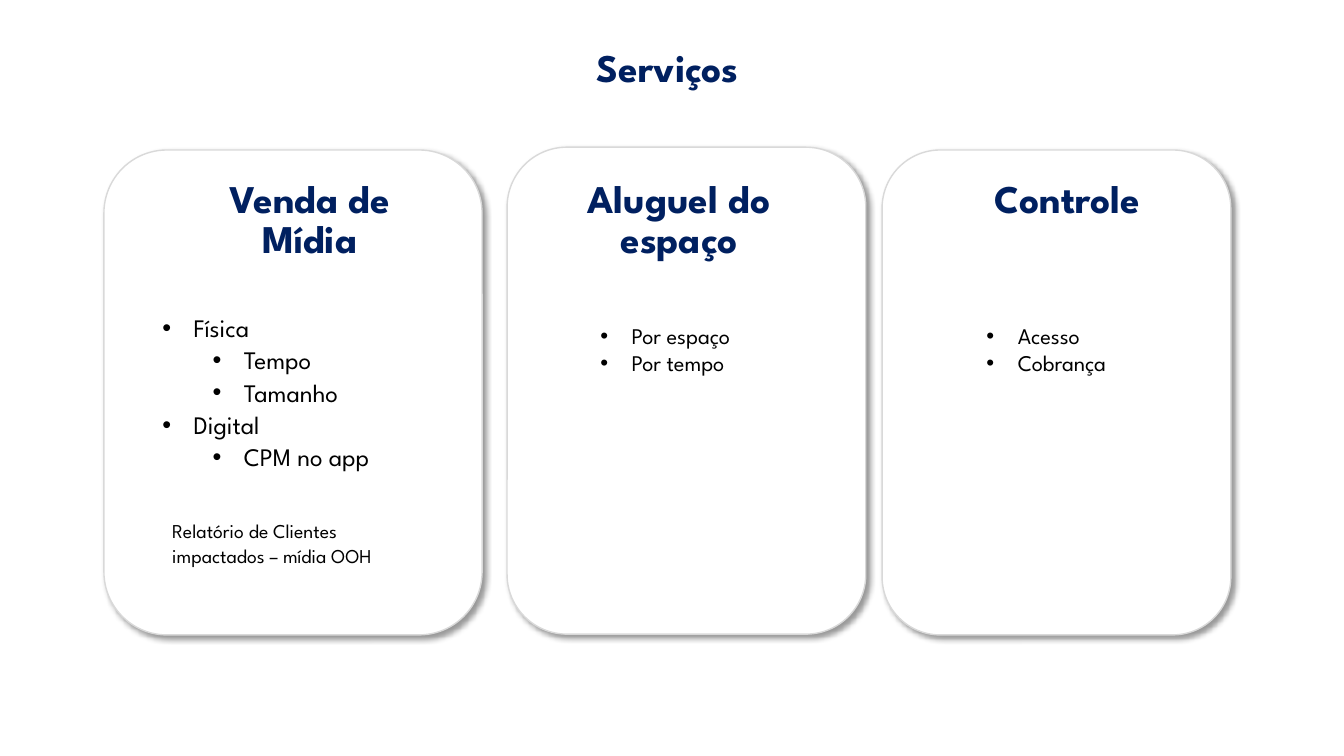
from pptx import Presentation
from pptx.dml.color import RGBColor
from pptx.enum.shapes import MSO_SHAPE
from pptx.enum.text import MSO_ANCHOR, PP_ALIGN
from pptx.oxml import parse_xml
from pptx.oxml.ns import nsdecls, qn
from pptx.util import Cm, Pt

COLORS = {"navy": "002060", "black": "000000", "white": "FFFFFF", "edge": "D9D9D9"}
FONT = "League Spartan"


def color(name):
    return RGBColor.from_string(COLORS[name])


def add_card(slide, left, top, width, height):
    card = slide.shapes.add_shape(
        MSO_SHAPE.ROUNDED_RECTANGLE, Cm(left), Cm(top), Cm(width), Cm(height))
    card.fill.solid()
    card.fill.fore_color.rgb = color("white")
    card.line.color.rgb = color("edge")
    card.line.width = Pt(1)
    card.shadow.inherit = False
    effects = card._element.spPr.find(qn("a:effectLst"))
    effects.append(parse_xml(
        f'<a:outerShdw {nsdecls("a")} blurRad="{Pt(4)}" dist="{Pt(3)}" '
        f'dir="2700000" algn="tl" rotWithShape="0">'
        f'<a:srgbClr val="{COLORS["black"]}"><a:alpha val="40000"/></a:srgbClr>'
        '</a:outerShdw>'))


def add_text(slide, box, text, size, tint="black", bold=False,
             align=PP_ALIGN.LEFT, space=None):
    frame = slide.shapes.add_textbox(*map(Cm, box)).text_frame
    frame.word_wrap = True
    frame.text = text
    for line in frame.paragraphs:
        line.alignment = align
        line.line_spacing = space
        for run in line.runs:
            run.font.name = FONT
            run.font.size = Pt(size)
            run.font.bold = bold
            run.font.color.rgb = color(tint)
    return frame


def add_head(slide, box, text):
    add_text(slide, box, text, 28, "navy", True, PP_ALIGN.CENTER, 0.85)


def add_list(slide, box, items, size, space=None):
    text = "\n".join(name for name, level in items)
    frame = add_text(slide, box, text, size, space=space)
    frame.vertical_anchor = MSO_ANCHOR.MIDDLE
    for line, (name, level) in zip(frame.paragraphs, items):
        line.level = level
        props = line._p.get_or_add_pPr()
        props.set("marL", str(Cm(0.79 + 1.27 * level)))
        props.set("indent", str(-Cm(0.79)))
        props.append(parse_xml(f'<a:buFont {nsdecls("a")} typeface="Arial"/>'))
        props.append(parse_xml(f'<a:buChar {nsdecls("a")} char="•"/>'))


def main():
    deck = Presentation()
    deck.slide_width, deck.slide_height = Cm(33.87), Cm(19.05)
    slide = deck.slides.add_slide(deck.slide_layouts[6])

    add_card(slide, 12.78, 3.71, 9.04, 12.27)
    add_card(slide, 2.62, 3.78, 9.53, 12.22)
    add_card(slide, 22.23, 3.78, 8.79, 12.22)

    add_head(slide, (14.45, 1.14, 4.75, 1.27), "Serviços")
    add_head(slide, (5.23, 4.45, 5.16, 2.29), "Venda de Mídia")
    add_head(slide, (13.87, 4.45, 6.48, 2.29), "Aluguel do espaço")
    add_head(slide, (23.65, 4.45, 6.48, 1.27), "Controle")

    media = [("Física", 0), ("Tempo", 1), ("Tamanho", 1),
             ("Digital", 0), ("CPM no app", 1)]
    add_list(slide, (3.84, 7.67, 7.8, 4.37), media, 18, 1.07)
    add_list(slide, (14.88, 7.98, 4.42, 1.63),
             [("Por espaço", 0), ("Por tempo", 0)], 16)
    add_list(slide, (24.61, 7.98, 4.04, 1.63),
             [("Acesso", 0), ("Cobrança", 0)], 16)
    add_text(slide, (4.09, 12.9, 6.86, 1.55),
             "Relatório de Clientes impactados – mídia OOH", 14, space=1.07)

    deck.save("out.pptx")


if __name__ == "__main__":
    main()
